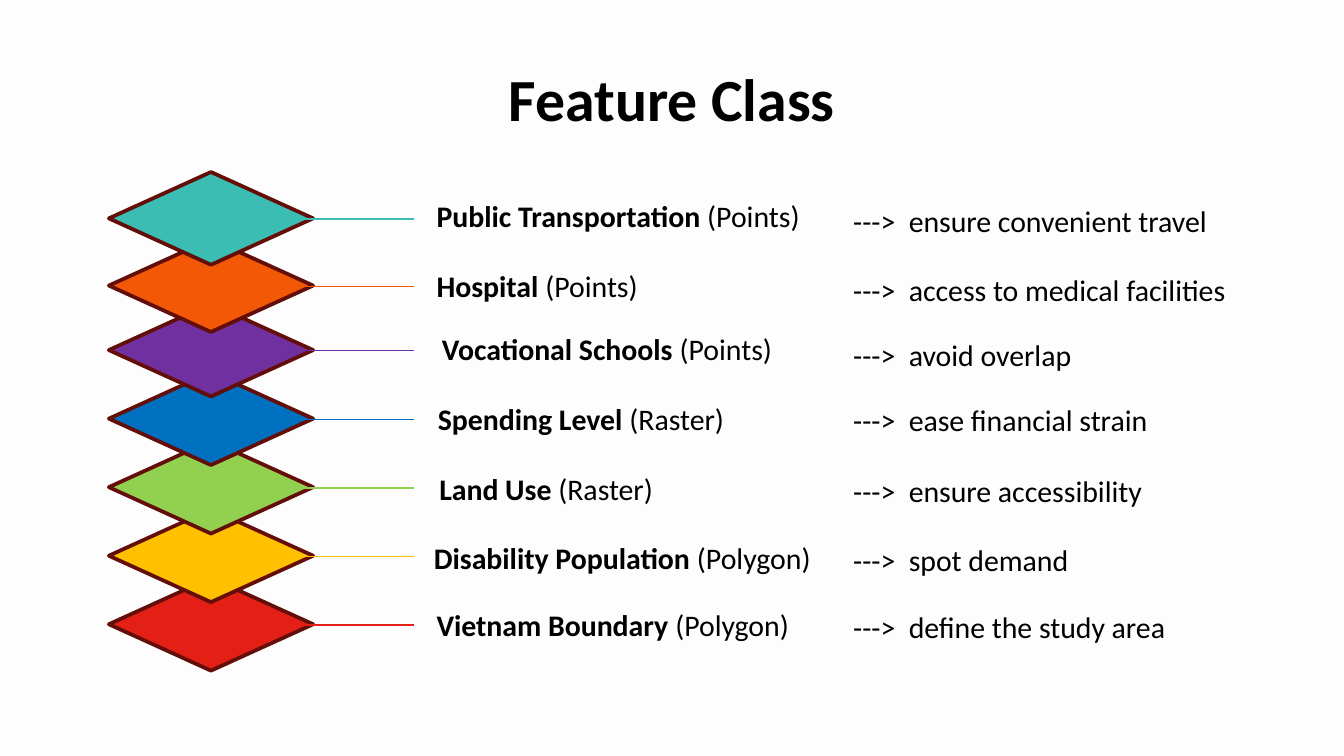
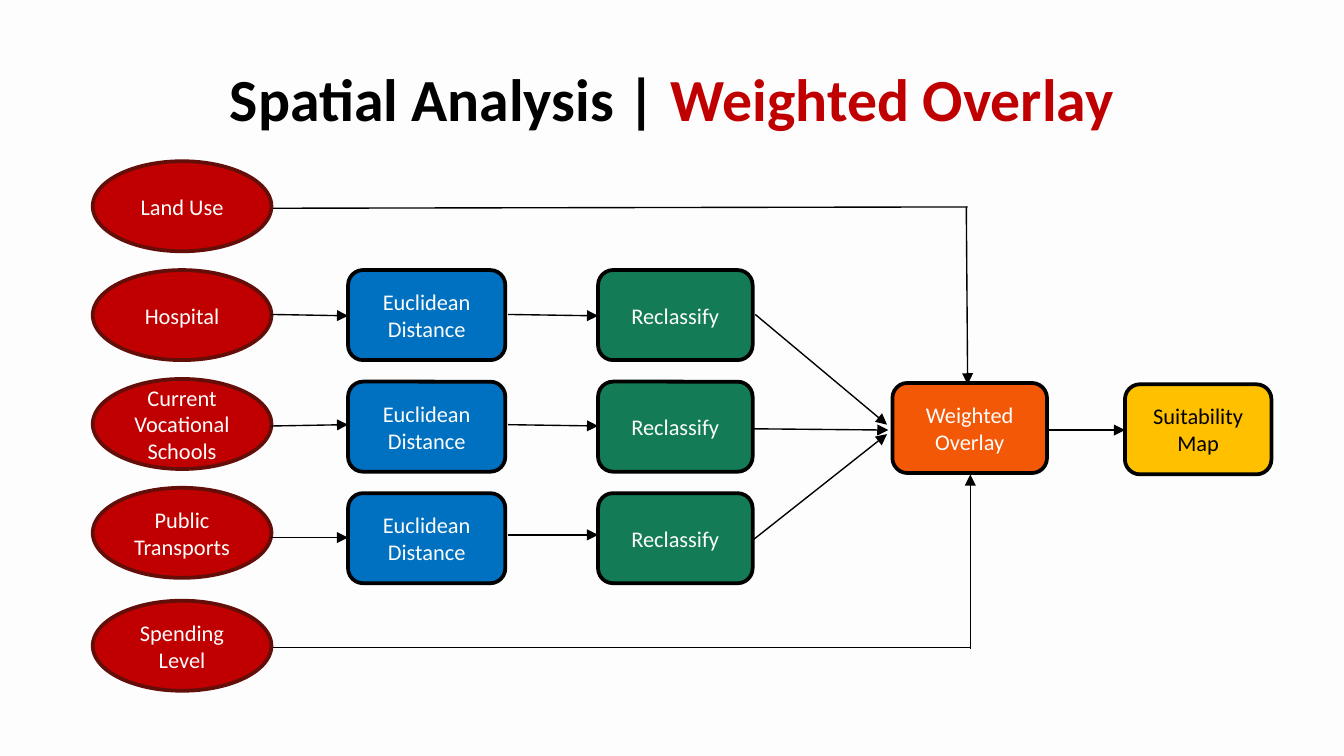
from lxml import etree
from pptx import Presentation
from pptx import util as u
from pptx.dml.color import RGBColor
from pptx.enum import shapes, text
from pptx.oxml import ns

COLORS = {
    "paper": "FDFDFD", "black": "000000", "maroon": "640E0A", "crimson": "C00000",
    "red": "E42016", "amber": "FFC000", "lime": "92D050", "blue": "0070C0",
    "purple": "7030A0", "orange": "F25805", "teal": "3BBDB3", "green": "137C56",
}
RGB = {name: RGBColor.from_string(value) for name, value in COLORS.items()}
MIDDLE = text.MSO_ANCHOR.MIDDLE
CENTER = text.PP_ALIGN.CENTER


def write(frame, *runs, size=16, color="black", bold=False, align=None,
          anchor=text.MSO_ANCHOR.TOP, inset=0.05):
    """Fill a text frame; each run is (words, overrides of bold and color)."""
    frame.word_wrap = True
    frame.vertical_anchor = anchor
    frame.margin_left = frame.margin_right = u.Inches(0.1)
    frame.margin_top = frame.margin_bottom = u.Inches(inset)
    paragraph = frame.paragraphs[0]
    paragraph.alignment = align
    for words, changes in runs:
        run = paragraph.add_run()
        run.text = words
        run.font.name = "Calibri"
        run.font.size = u.Pt(size)
        run.font.bold = changes.get("bold", bold)
        run.font.color.rgb = RGB[changes.get("color", color)]


def connect(slide, start, end, color="black", arrow=True):
    """Draw a thin straight line, with an arrowhead at its end if wanted."""
    line = slide.shapes.add_connector(
        shapes.MSO_CONNECTOR.STRAIGHT, *[u.Inches(v) for v in (*start, *end)])
    line.line.color.rgb = RGB[color]
    line.line.width = u.Pt(0.75)
    if arrow:
        head = etree.SubElement(line._element.spPr.find(ns.qn("a:ln")), ns.qn("a:tailEnd"))
        head.set("type", "triangle")
    etree.SubElement(line._element.spPr, ns.qn("a:effectLst"))


# Widescreen deck, 16 to 9
deck = Presentation()
deck.slide_width, deck.slide_height = u.Inches(10), u.Inches(10 * 9 / 16)

# Background and centred title of both slides
titles = [
    (4.44, [("Feature Class", {})]),
    (8.44, [("Spatial Analysis | ", {}), ("Weighted Overlay", {"color": "crimson"})]),
]
for width, title_runs in titles:
    slide = deck.slides.add_slide(deck.slide_layouts[6])
    slide.background.fill.solid()
    slide.background.fill.fore_color.rgb = RGB["paper"]
    title = slide.shapes.add_textbox(
        u.Inches((10 - width) / 2), u.Inches(0.33), u.Inches(width), u.Inches(0.79))
    write(title.text_frame, *title_runs, size=32, bold=True, align=CENTER,
          anchor=MIDDLE, inset=0.1)
features, overlay = deck.slides

# Feature classes, bottom layer first:
# colour, layer top, name, data type, name left, top and width, purpose, purpose top
layers = [
    ("red", 4.3, "Vietnam Boundary ", "(Polygon)", 3.15, 4.39, 3.35,
     "define the study area", 4.48),
    ("amber", 3.79, "Disability Population ", "(Polygon)", 3.13, 3.89, 3.51,
     "spot demand", 3.98),
    ("lime", 3.28, "Land Use ", "(Raster)", 3.17, 3.38, 3.35,
     "ensure accessibility", 3.47),
    ("blue", 2.77, "Spending Level ", "(Raster)", 3.16, 2.86, 3.18,
     "ease financial strain", 2.94),
    ("purple", 2.26, "Vocational Schools ", "(Points)", 3.19, 2.34, 3.54,
     "avoid overlap", 2.46),
    ("orange", 1.78, "Hospital ", "(Points)", 3.15, 1.87, 3.27,
     "access to medical facilities", 1.97),
    ("teal", 1.28, "Public Transportation ", "(Points)", 3.15, 1.35, 3.48,
     "ensure convenient travel", 1.46),
]
for color, top, *_ in layers:
    layer = features.shapes.add_shape(
        shapes.MSO_SHAPE.FLOWCHART_DECISION,
        u.Inches(0.81), u.Inches(top), u.Inches(1.52), u.Inches(0.69))
    layer.shadow.inherit = False
    layer.fill.solid()
    layer.fill.fore_color.rgb = RGB[color]
    layer.line.color.rgb = RGB["maroon"]
    layer.line.width = u.Pt(2)

# Leader line, name and purpose of each layer
for color, top, name, data_type, left, name_top, width, purpose, purpose_top in layers:
    connect(features, (1.24, top + 0.35), (3.08, top + 0.35), color, arrow=False)
    label = features.shapes.add_textbox(
        u.Inches(left), u.Inches(name_top), u.Inches(width), u.Inches(0.51))
    write(label.text_frame, (name, {"bold": True}), (data_type, {}),
          anchor=MIDDLE, inset=0.1)
    reason = features.shapes.add_textbox(
        u.Inches(6.25), u.Inches(purpose_top), u.Inches(3), u.Inches(0.37))
    write(reason.text_frame, (f"--->  {purpose}", {}))

# Arrows from the reclassified layers to the overlay and on to the map
for start, end in [
    ((5.62, 2.34), (6.6, 3.16)), ((5.52, 3.19), (6.61, 3.2)),
    ((5.6, 4.02), (6.6, 3.23)), ((7.8, 3.2), (8.37, 3.2)),
]:
    connect(overlay, start, end)

# Land use and spending level go straight to the overlay
connect(overlay, (1.75, 1.55), (7.2, 1.54), arrow=False)
connect(overlay, (1.75, 4.82), (7.22, 4.82), arrow=False)
connect(overlay, (7.19, 1.54), (7.2, 2.86))
connect(overlay, (7.22, 4.83), (7.22, 3.53))

# Workflow steps: words, left, top, width, fill
inputs = ["Land Use", "Hospital", "Current Vocational Schools",
          "Public Transports", "Spending Level"]
input_tops = [1.2, 2.01, 2.82, 3.63, 4.47]
steps = [(words, 0.69, top, 1.33, "crimson") for words, top in zip(inputs, input_tops)]
for row in range(3):
    row_top = 2.01 + 0.83 * row
    steps.append(("Euclidean Distance", 2.59, row_top, 1.17, "blue"))
    steps.append(("Reclassify", 4.45, row_top, 1.15, "green"))
steps.append(("Weighted Overlay", 6.64, 2.85, 1.15, "orange"))
steps.append(("Suitability Map", 8.37, 2.86, 1.09, "amber"))

for words, left, top, width, fill in steps:
    is_input = fill == "crimson"
    outline = shapes.MSO_SHAPE.OVAL if is_input else shapes.MSO_SHAPE.ROUNDED_RECTANGLE
    step = overlay.shapes.add_shape(
        outline, u.Inches(left), u.Inches(top), u.Inches(width), u.Inches(0.67))
    step.shadow.inherit = False
    step.fill.solid()
    step.fill.fore_color.rgb = RGB[fill]
    step.line.color.rgb = RGB["maroon" if is_input else "black"]
    step.line.width = u.Pt(2)
    write(step.text_frame, (words, {}), size=12, align=CENTER, anchor=MIDDLE,
          color="black" if fill == "amber" else "paper")

# Arrows from input to distance and from distance to reclassify
for input_y, distance_y, out_y, reclassify_y in [
    (2.34, 2.35, 2.34, 2.35), (3.17, 3.16, 3.16, 3.17), (4, 4, 3.98, 3.98),
]:
    connect(overlay, (2.02, input_y), (2.59, distance_y))
    connect(overlay, (3.78, out_y), (4.45, reclassify_y))

deck.save("out.pptx")
